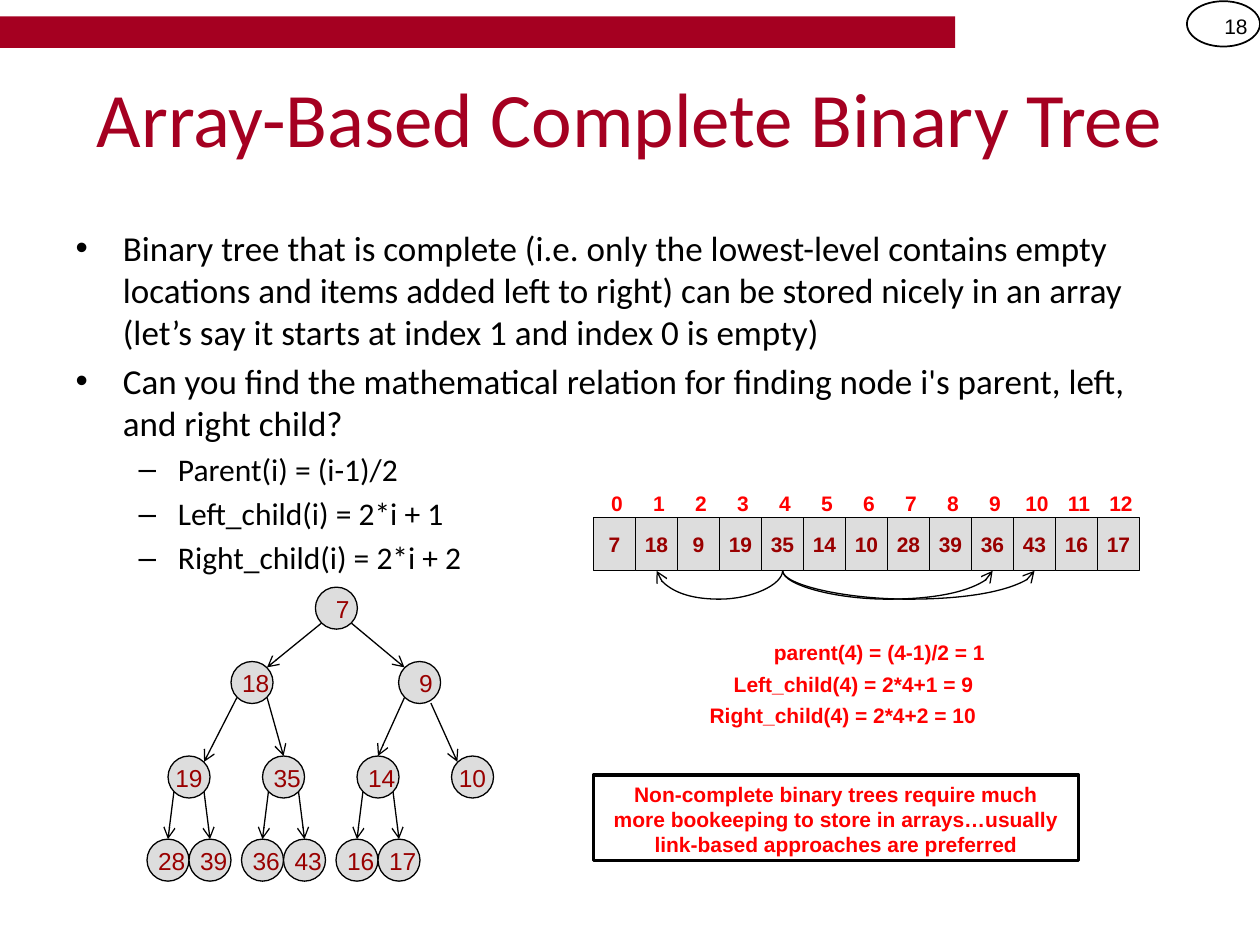
from lxml import etree
from pptx import Presentation
from pptx.dml.color import RGBColor
from pptx.enum import shapes, text
from pptx.oxml.ns import qn
from pptx.util import Emu, Inches, Pt

rgb = RGBColor.from_string
MSO, ALIGN, MID, TOP = (shapes.MSO_SHAPE, text.PP_ALIGN,
                        text.MSO_ANCHOR.MIDDLE, text.MSO_ANCHOR.TOP)
BLACK, GREY, WINE, DARK, RED = "000000", "DDDDDD", "A50021", "990000", "FF0000"

deck = Presentation()
deck.slide_width, deck.slide_height = Inches(10), Inches(7.5)
slide = deck.slides.add_slide(deck.slide_layouts[1])
items = slide.shapes


def put(words, x, y, w, h, kind=None, fill=None, line=None, size=12, tone=RED,
        bold=True, align=ALIGN.CENTER, anchor=MID, inset=(0, 0, 0, 0)):
    """Add a text box, or a preset shape if kind is given, with its text."""
    place = [Inches(v) for v in (x, y, w, h)]
    if kind is None:
        box = items.add_textbox(*place)
    else:
        box = items.add_shape(kind, *place)
        box.shadow.inherit = False
        if fill:
            box.fill.solid()
            box.fill.fore_color.rgb = rgb(fill)
        else:
            box.fill.background()
        if line:
            box.line.color.rgb = rgb(BLACK)
            box.line.width = Pt(line)
        else:
            box.line.fill.background()
    if words:
        frame = box.text_frame
        frame.word_wrap = True
        frame.vertical_anchor = anchor
        (frame.margin_left, frame.margin_top, frame.margin_right,
         frame.margin_bottom) = [Inches(v) for v in inset]
        par = frame.paragraphs[0]
        par.text, par.alignment = words, align
        font = par.font
        font.name, font.size, font.bold = "Arial", Pt(size), bold
        font.color.rgb = rgb(tone)
    return box


def link(kind, x1, y1, x2, y2):
    """Add a thin black connector with an open arrowhead at its end."""
    arrow = items.add_connector(kind, *[Inches(v) for v in (x1, y1, x2, y2)])
    arrow.line.color.rgb = rgb(BLACK)
    arrow.line.width = Pt(0.75)
    props = arrow._element.spPr
    etree.SubElement(props.find(qn("a:ln")), qn("a:tailEnd"), type="arrow")
    etree.SubElement(props, qn("a:effectLst"))
    return arrow


# Top bar and page number
put("", 0, 0.13, 7.58, 0.25, MSO.RECTANGLE, fill=WINE)
put("", 9.42, 0.01, 0.58, 0.36, MSO.OVAL, line=1)
put("18", 9.42, 0.01, 0.58, 0.4, tone=BLACK, bold=False, align=ALIGN.RIGHT,
    inset=(0.1, 0.05, 0.1, 0.05))

# Title
title = slide.shapes.title
title.left, title.top, title.width, title.height = [
    Inches(v) for v in (0.5, 0.3, 9, 1.25)]
title.text_frame.text = "Array-Based Complete Binary Tree"
title.text_frame.auto_size = text.MSO_AUTO_SIZE.NONE
font = title.text_frame.paragraphs[0].font
font.name, font.size, font.color.rgb = "Calibri", Pt(44), rgb(WINE)

# Bullet list
body = slide.placeholders[1]
body.left, body.top, body.width, body.height = [
    Inches(v) for v in (0.5, 1.75, 9, 4.95)]
frame = body.text_frame
frame.auto_size = text.MSO_AUTO_SIZE.NONE
points = [
    (0, "Binary tree that is complete (i.e. only the lowest-level contains "
        "empty locations and items added left to right) can be stored nicely "
        "in an array (let’s say it starts at index 1 and index 0 is empty)"),
    (0, "Can you find the mathematical relation for finding node i's parent, "
        "left, and right child?"),
    (1, "Parent(i) = (i-1)/2"),
    (1, "Left_child(i) = 2*i + 1"),
    (1, "Right_child(i) = 2*i + 2"),
]
for i, (level, words) in enumerate(points):
    par = frame.add_paragraph() if i else frame.paragraphs[0]
    par.text, par.level = words, level
    if i == 0:
        par.space_before = Pt(0)
    font = par.font
    font.name, font.size, font.color.rgb = "Calibri", Pt(20 - 2 * level), rgb(BLACK)

# Tree nodes: centres by array index
keys = [7, 18, 9, 19, 35, 14, 10, 28, 39, 36, 43, 16, 17]
SIZE = 1 / 3
rows = [(4.66, [2.67]), (5.25, [2, 3.33]), (6, [1.5, 2.25, 3, 3.75]),
        (6.66, [x + dx for x in (1.5, 2.25, 3) for dx in (-SIZE / 2, SIZE / 2)])]
nodes = [(x, top + SIZE / 2) for top, row in rows for x in row]
for x, y in nodes:
    put("", x - SIZE / 2, y - SIZE / 2, SIZE, SIZE, MSO.OVAL, fill=GREY,
        line=0.75)

# Tree arrows: outer children are met on their shoulder, others on top
DIAG = 0.12
for i in range(1, len(nodes)):
    (px, py), (x, y) = nodes[(i - 1) // 2], nodes[i]
    side = -1 if i % 2 else 1
    if i in (1, 2, 3, 6):
        end = x - side * DIAG, y - DIAG
    else:
        end = x, y - SIZE / 2
    start = (3.42, 5.58) if i == 6 else (px + side * DIAG, py + DIAG)
    link(shapes.MSO_CONNECTOR.STRAIGHT, *start, *end)

# Tree numbers: most sit a little right of centre
for key, (x, y) in zip(keys, nodes):
    shift = 0 if key in (19, 10) else 0.05 if key < 10 else 0.03
    put(str(key), x - 0.25 + shift, y - SIZE / 2, 0.5, 0.34, size=14,
        tone=DARK, bold=False)

# Array cells with their indexes
LEFT, CELL, BASE = 4.71, 1 / 3, 4.53
for i, key in enumerate(keys):
    x = LEFT + i * CELL
    put(str(key), x, 4.11, CELL, 0.42, MSO.RECTANGLE, fill=GREY, line=0.75,
        tone=DARK)
    put(str(i), x + 0.02, 3.87, CELL, 0.25)

# Curves from cell 4 to its parent and children, bulging 0.25 inch below
THIN = Emu(1588)
start = LEFT + 4.5 * CELL
for cell in (1, 9, 10):
    end = LEFT + (cell + 0.5) * CELL
    span, mid = abs(end - start), (start + end) / 2
    curve = link(shapes.MSO_CONNECTOR.CURVE, mid, BASE - span / 2,
                 mid, BASE + span / 2)
    curve.width = THIN
    frm = curve._element.spPr.find(qn("a:xfrm"))
    frm.set("rot", str((90 if end < start else 270) * 60000))
    if end > start:
        frm.set("flipH", "1")
    shape = curve._element.spPr.find(qn("a:prstGeom"))
    guides = shape.find(qn("a:avLst"))
    if guides is None:
        guides = etree.SubElement(shape, qn("a:avLst"))
    bulge = round(Inches(0.25) / THIN * 100000)
    etree.SubElement(guides, qn("a:gd"), name="adj1", fmla=f"val {bulge}")

# Worked sums
sums = [("parent(4) = (4-1)/2 = 1", 5.98, 2),
        ("Left_child(4) = 2*4+1 = 9", 5.65, 2.25),
        ("Right_child(4) = 2*4+2 = 10", 5.48, 2.42)]
pad = (0.1, 0.05, 0.1, 0.05)
for i, (words, x, w) in enumerate(sums):
    put(words, x, 5.03 + 0.25 * i, w, 0.3, anchor=TOP, inset=pad)

# Closing note
put("Non-complete binary trees require much more bookeeping to store in "
    "arrays…usually link-based approaches are preferred",
    4.71, 6.15, 3.85, 0.68, MSO.RECTANGLE, fill="FFFFFF", line=2, anchor=TOP,
    inset=pad)

deck.save("out.pptx")
